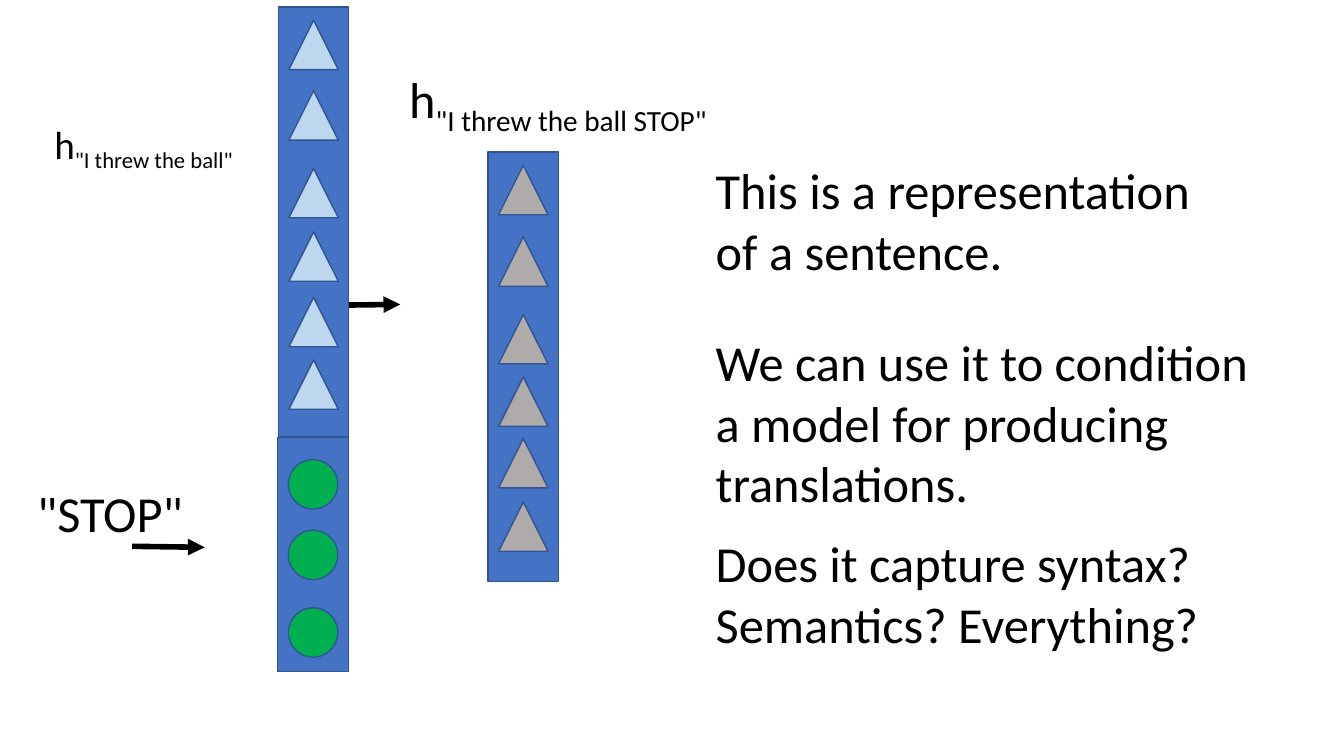
from dataclasses import dataclass

from lxml.etree import SubElement
from pptx import Presentation
from pptx.dml.color import RGBColor
from pptx.enum.shapes import MSO_CONNECTOR, MSO_SHAPE as Preset
from pptx.enum.text import MSO_AUTO_SIZE as AutoSize
from pptx.oxml.ns import qn
from pptx.slide import Slide
from pptx.util import Inches, Pt


@dataclass(frozen=True)
class Theme:
    font: str = "Calibri"
    large: int = 36
    small: int = 28
    text: str = "000000"
    column: str = "4472C4"
    outline: str = "325491"
    word_unit: str = "00B050"
    old_state_unit: str = "BDD7EE"
    new_state_unit: str = "AFABAB"
    unit_size: float = 0.49
    subscript: str = "-25000"


THEME = Theme()


@dataclass(frozen=True)
class Vector:
    """A column of units; unit_tops are measured from the column's top."""
    left: float
    top: float
    width: float
    height: float
    unit: Preset
    color: str
    unit_tops: tuple[float, ...]


@dataclass(frozen=True)
class Label:
    left: float
    top: float
    width: float
    height: float
    lines: tuple[str, ...]
    subscript: str = ""
    size: int = THEME.large
    wrap: bool = False


@dataclass(frozen=True)
class Arrow:
    start: tuple[float, float]
    end: tuple[float, float]


WORD_VECTOR = Vector(2.75, 4.34, 0.71, 2.32, Preset.OVAL,
                     THEME.word_unit, (0.22, 0.92, 1.69))
NEW_STATE = Vector(4.84, 1.51, 0.7, 4.26, Preset.ISOSCELES_TRIANGLE,
                   THEME.new_state_unit, (0.13, 0.84, 1.61, 2.23, 2.84, 3.47))
OLD_STATE = Vector(2.76, 0.07, 0.7, 4.26, Preset.ISOSCELES_TRIANGLE,
                   THEME.old_state_unit, (0.13, 0.83, 1.6, 2.23, 2.88, 3.5))

# Back to front: the old state covers the start of the output arrow
PARTS = (
    WORD_VECTOR,
    Label(0.27, 4.73, 1.66, 0.71, ('"STOP"',)),
    Arrow((1.31, 5.42), (2.03, 5.43)),
    NEW_STATE,
    Label(7, 1.53, 5.06, 1.31, ("This is a representation", "of a sentence.")),
    Arrow((3.16, 3.03), (3.97, 3.02)),
    Label(0.44, 1.14, 2.23, 0.57, ("h",), '"I threw the ball"', THEME.small),
    OLD_STATE,
    Label(3.96, 0.63, 3.59, 0.71, ("h",), '"I threw the ball STOP"'),
    Label(7, 3.24, 5.53, 1.92,
          ("We can use it to condition\va model for producing\vtranslations.",)),
    Label(7, 5.23, 5.42, 1.31,
          ("Does it capture syntax? Semantics? Everything?",), wrap=True),
)


def draw_vector(page: Slide, vector: Vector) -> None:
    group = page.shapes.add_group_shape()

    def add_part(preset: Preset, left: float, top: float,
                 width: float, height: float, color: str) -> None:
        part = group.shapes.add_shape(
            preset, Inches(left), Inches(top), Inches(width), Inches(height))
        part.shadow.inherit = False
        part.fill.solid()
        part.fill.fore_color.rgb = RGBColor.from_string(color)
        part.line.color.rgb = RGBColor.from_string(THEME.outline)
        part.line.width = Pt(1)

    add_part(Preset.RECTANGLE, vector.left, vector.top,
             vector.width, vector.height, THEME.column)
    unit_left = vector.left + (vector.width - THEME.unit_size) / 2
    for offset in vector.unit_tops:
        add_part(vector.unit, unit_left, vector.top + offset,
                 THEME.unit_size, THEME.unit_size, vector.color)


def draw_label(page: Slide, label: Label) -> None:
    box = page.shapes.add_textbox(Inches(label.left), Inches(label.top),
                                  Inches(label.width), Inches(label.height))
    frame = box.text_frame
    frame.word_wrap = label.wrap
    frame.auto_size = AutoSize.SHAPE_TO_FIT_TEXT
    for index, line in enumerate(label.lines):
        para = frame.add_paragraph() if index else frame.paragraphs[0]
        para.text = line
        para.font.name = THEME.font
        para.font.size = Pt(label.size)
        para.font.color.rgb = RGBColor.from_string(THEME.text)
    if label.subscript:
        span = para.add_run()
        span.text = label.subscript
        span._r.get_or_add_rPr().set("baseline", THEME.subscript)


def draw_arrow(page: Slide, arrow: Arrow) -> None:
    ends = [Inches(value) for value in (*arrow.start, *arrow.end)]
    connector = page.shapes.add_connector(MSO_CONNECTOR.STRAIGHT, *ends)
    connector.line.color.rgb = RGBColor.from_string(THEME.text)
    connector.line.width = Pt(4)
    SubElement(connector.line._get_or_add_ln(), qn("a:tailEnd"), type="triangle")
    SubElement(connector._element.spPr, qn("a:effectLst"))


def main() -> None:
    deck = Presentation()
    deck.slide_width, deck.slide_height = Inches(13.33), Inches(7.5)
    page = deck.slides.add_slide(deck.slide_layouts[6])
    painters = {Vector: draw_vector, Label: draw_label, Arrow: draw_arrow}
    for part in PARTS:
        painters[type(part)](page, part)
    deck.save("out.pptx")


if __name__ == "__main__":
    main()
